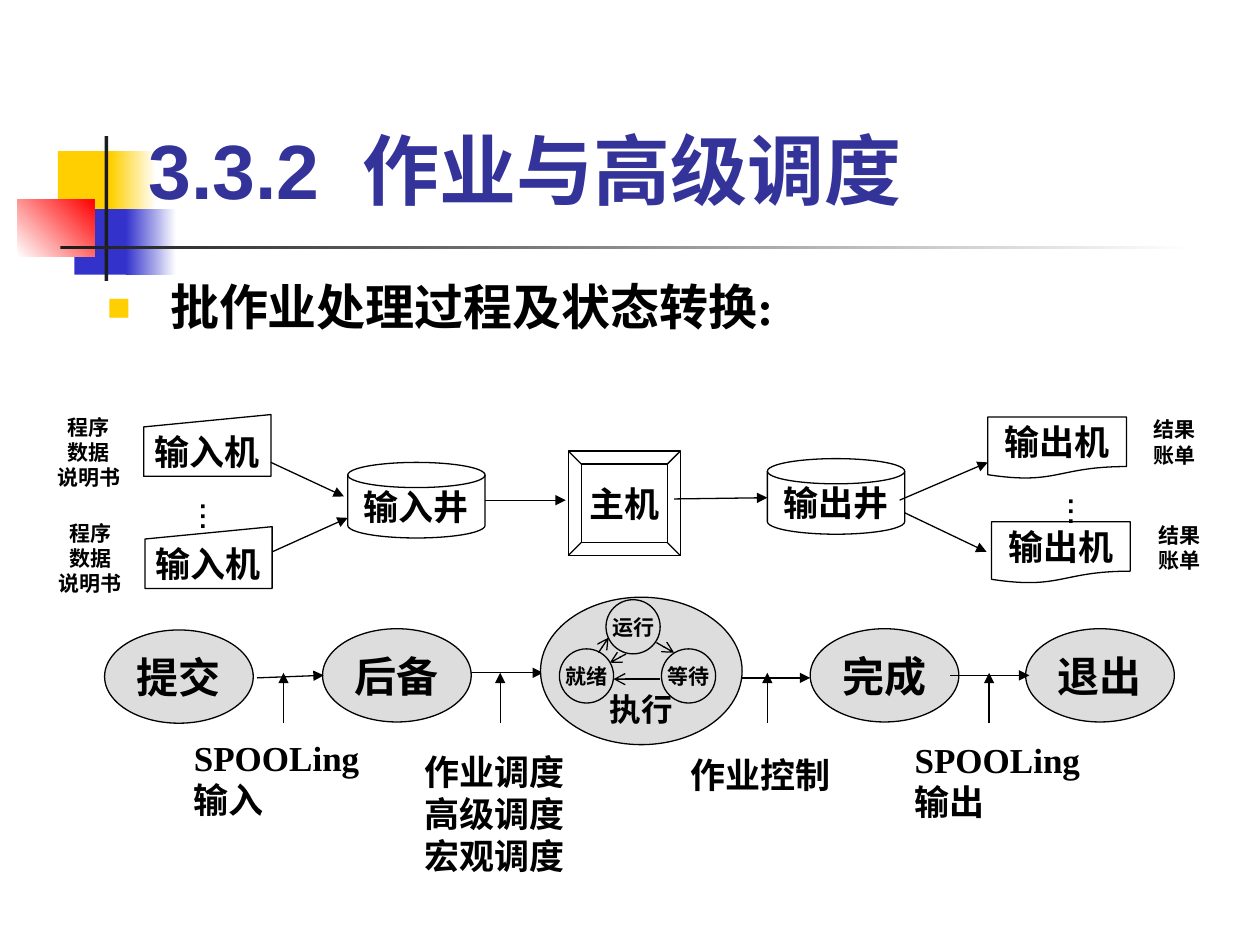
"""Build the slide on batch job processing and job state transitions."""
from dataclasses import dataclass

from lxml.etree import SubElement
from pptx import Presentation
from pptx.dml.color import RGBColor
from pptx.enum.shapes import MSO_CONNECTOR as Link, MSO_SHAPE as Kind
from pptx.enum.text import MSO_ANCHOR as Anchor, MSO_AUTO_SIZE as Fit, PP_ALIGN as Align
from pptx.oxml.ns import qn
from pptx.util import Inches, Pt

BLACK = RGBColor(0x00, 0x00, 0x00)
WHITE = RGBColor(0xFF, 0xFF, 0xFF)
GRAY = RGBColor(0xDD, 0xDD, 0xDD)
DARK = RGBColor(0x1C, 0x1C, 0x1C)
YELLOW = RGBColor(0xFF, 0xCF, 0x01)
BLUE = RGBColor(0x33, 0x33, 0xCC)
RED = RGBColor(0xFF, 0x00, 0x00)
NAVY = RGBColor(0x33, 0x33, 0x99)
SERIF = "Times New Roman"
SANS = "Cabin"

Area = tuple[float, float, float, float]


@dataclass
class Band:
    area: Area
    start: RGBColor
    end: RGBColor | None = None
    angle: int = 0


@dataclass
class Node:
    text: str
    kind: Kind
    area: Area
    size: int = 20
    font: str = SANS
    fill: RGBColor | None = None


@dataclass
class Label:
    lines: str
    area: Area
    size: int = 12
    font: str = SANS
    align: Align = Align.CENTER
    bold: bool = True
    vertical: bool = False


@dataclass
class Arrow:
    start: tuple[float, float]
    end: tuple[float, float]
    head: str = "triangle"


def state(text: str, left: float, top: float = 4.99) -> Node:
    return Node(text, Kind.OVAL, (left, top, 1.18, 0.74), 24, SERIF, GRAY)


def phase(text: str, left: float, top: float) -> Node:
    return Node(text, Kind.OVAL, (left, top, 0.43, 0.43), 12)


def caption(lines: str, area: Area) -> Label:
    return Label(lines, area, 20, SERIF, Align.LEFT)


BANDS = [
    Band((0.46, 1.2, 0.48, 0.52), YELLOW),
    Band((0.88, 1.2, 0.36, 0.52), YELLOW, WHITE),
    Band((0.59, 1.66, 0.46, 0.52), BLUE),
    Band((1, 1.66, 0.4, 0.52), BLUE, WHITE),
    Band((0.14, 1.58, 0.61, 0.46), WHITE, RED, 45),
    Band((0.83, 1.08, 0.03, 1.15), DARK),
    Band((0.48, 1.95, 9, 0.03), DARK, WHITE),
]
EXECUTION = Node("执行", Kind.OVAL, (4.29, 4.74, 1.6, 1.17), 18, SERIF, GRAY)
STATES = [state("提交", 0.83, 5), state("后备", 2.56), state("完成", 6.43), state("退出", 8.14)]
PHASES = [phase("运行", 4.81, 4.76), phase("就绪", 4.44, 5.15), phase("等待", 5.25, 5.15)]
DEVICES = [
    Node("输入机", Kind.FLOWCHART_MANUAL_INPUT, (1.14, 3.29, 1.01, 0.49)),
    Node("输入机", Kind.FLOWCHART_MANUAL_INPUT, (1.15, 4.18, 1.01, 0.49)),
    Node("输入井", Kind.FLOWCHART_MAGNETIC_DISK, (2.76, 3.67, 1.09, 0.6)),
    Node("主机", Kind.BEVEL, (4.51, 3.58, 0.89, 0.83)),
    Node("输出井", Kind.FLOWCHART_MAGNETIC_DISK, (6.09, 3.64, 1.09, 0.6)),
    Node("输出机", Kind.FLOWCHART_DOCUMENT, (7.84, 3.31, 1.1, 0.49)),
    Node("输出机", Kind.FLOWCHART_DOCUMENT, (7.87, 4.14, 1.1, 0.49)),
]
LABELS = [
    caption("SPOOLing输入", (1.44, 5.8, 1.67, 0.77)),
    caption("作业调度\n高级调度\n宏观调度", (3.27, 5.91, 1.5, 1.1)),
    caption("作业控制", (5.38, 5.93, 1.5, 0.44)),
    caption("SPOOLing输出", (7.16, 5.81, 1.58, 0.77)),
    Label("…", (1.35, 3.89, 0.6, 0.23), 24, bold=False, vertical=True),
    Label("…", (8.24, 3.85, 0.6, 0.23), 24, bold=False, vertical=True),
    Label("程序\n数据\n说明书", (0.26, 3.24, 0.89, 0.7)),
    Label("程序\n数据\n说明书", (0.27, 4.08, 0.89, 0.7)),
    Label("结果\n账单", (8.99, 3.26, 0.66, 0.5)),
    Label("结果\n账单", (9.03, 4.1, 0.66, 0.5)),
]
BACK_ARROWS = [Arrow((3.68, 5.34), (4.31, 5.34)), Arrow((5.8, 5.38), (6.43, 5.38))]
ARROWS = [
    Arrow((2.04, 5.38), (2.57, 5.36)),
    Arrow((7.54, 5.36), (8.17, 5.36)),
    *(Arrow((x, 5.74), (x, 5.34)) for x in (2.25, 3.97, 6.09, 7.85)),
    Arrow((2.15, 3.67), (2.73, 3.94)),
    Arrow((2.16, 4.38), (2.76, 4.11)),
    Arrow((3.85, 3.97), (4.49, 3.97)),
    Arrow((5.35, 3.96), (6.09, 3.95)),
    Arrow((7.14, 3.97), (7.84, 3.67)),
    Arrow((7.18, 4.07), (7.83, 4.38)),
    Arrow((5.21, 5.1), (5.35, 5.18), "arrow"),
    Arrow((4.75, 5.18), (4.83, 5.06), "arrow"),
    Arrow((4.97, 5.19), (4.84, 5.26), "arrow"),
    Arrow((5.24, 5.39), (4.87, 5.39), "arrow"),
]


def place(shape, area: Area) -> None:
    shape.left, shape.top, shape.width, shape.height = map(Inches, area)


def add_span(para, text: str, *, size: int, font: str, color=BLACK, bold=True):
    span = para.add_run()
    span.text = text
    span.font.size, span.font.name, span.font.bold = Pt(size), font, bold
    span.font.color.rgb = color
    return span


def draw_band(page, band: Band) -> None:
    shape = page.shapes.add_shape(Kind.RECTANGLE, *map(Inches, band.area))
    shape.shadow.inherit = False
    shape.line.fill.background()
    if band.end is None:
        shape.fill.solid()
        shape.fill.fore_color.rgb = band.start
        return
    shape.fill.gradient()
    shape.fill.gradient_angle = band.angle
    for stop, color in zip(shape.fill.gradient_stops, (band.start, band.end)):
        stop.color.rgb = color


def draw_node(page, node: Node):
    shape = page.shapes.add_shape(node.kind, *map(Inches, node.area))
    shape.shadow.inherit = False
    if node.fill is None:
        shape.fill.background()
    else:
        shape.fill.solid()
        shape.fill.fore_color.rgb = node.fill
    shape.line.color.rgb, shape.line.width = BLACK, Pt(0.75)
    frame = shape.text_frame
    frame.word_wrap, frame.vertical_anchor = False, Anchor.MIDDLE
    frame.paragraphs[0].alignment = Align.CENTER
    add_span(frame.paragraphs[0], node.text, size=node.size, font=node.font)
    return shape


def draw_label(page, label: Label) -> None:
    frame = page.shapes.add_textbox(*map(Inches, label.area)).text_frame
    frame.word_wrap = True
    if label.vertical:
        frame.margin_left = frame.margin_right = Inches(0.05)
        frame.margin_top = frame.margin_bottom = Inches(0.1)
        frame._txBody.bodyPr.set("vert", "eaVert")
    for index, line in enumerate(label.lines.split("\n")):
        para = frame.add_paragraph() if index else frame.paragraphs[0]
        para.alignment = label.align
        add_span(para, line, size=label.size, font=label.font, bold=label.bold)


def draw_arrow(page, arrow: Arrow) -> None:
    line = page.shapes.add_connector(Link.STRAIGHT, *map(Inches, arrow.start + arrow.end))
    line.line.color.rgb, line.line.width = BLACK, Pt(0.75)
    SubElement(line.line._get_or_add_ln(), qn("a:tailEnd"), type=arrow.head)
    SubElement(line._element.spPr, qn("a:effectLst"))


def fill_title(title) -> None:
    place(title, (1.08, 0.79, 8.24, 1.1))
    title.text_frame.vertical_anchor = Anchor.MIDDLE
    title.text_frame.auto_size = Fit.NONE
    para = title.text_frame.paragraphs[0]
    para.alignment = Align.LEFT
    spans = [add_span(para, text, size=44, font="Arial", color=NAVY)
             for text in ("3.3.2", " ", "作业与高级调度")]
    spans[1].font._element.set("spc", "1200")


def fill_body(body) -> None:
    place(body, (0.75, 2.2, 8.5, 0.76))
    body.text_frame.auto_size = Fit.NONE
    para = body.text_frame.paragraphs[0]
    para.line_spacing, para.space_before = 0.9, Pt(0)
    props = para._p.get_or_add_pPr()
    props.set("marL", str(Inches(0.5)))
    props.set("indent", str(Inches(-0.5)))
    SubElement(SubElement(props, qn("a:buClr")), qn("a:srgbClr"), val=str(YELLOW))
    SubElement(props, qn("a:buSzPct"), val="80000")
    SubElement(props, qn("a:buChar"), char="■")
    add_span(para, "批作业处理过程及状态转换:", size=28, font=SERIF)


def main() -> None:
    deck = Presentation()
    deck.slide_width, deck.slide_height = Inches(10), Inches(7.5)
    page = deck.slides.add_slide(deck.slide_layouts[1])
    for band in BANDS:
        draw_band(page, band)
    title, body = page.placeholders
    for holder in (title, body):
        page.shapes._spTree.append(holder._element)
    fill_title(title)
    fill_body(body)
    for arrow in BACK_ARROWS:
        draw_arrow(page, arrow)
    execution = draw_node(page, EXECUTION).text_frame
    execution.vertical_anchor, execution.margin_bottom = Anchor.BOTTOM, Inches(-0.04)
    for node in STATES + DEVICES + PHASES:
        draw_node(page, node)
    for label in LABELS:
        draw_label(page, label)
    for arrow in ARROWS:
        draw_arrow(page, arrow)
    deck.save("out.pptx")


if __name__ == "__main__":
    main()
